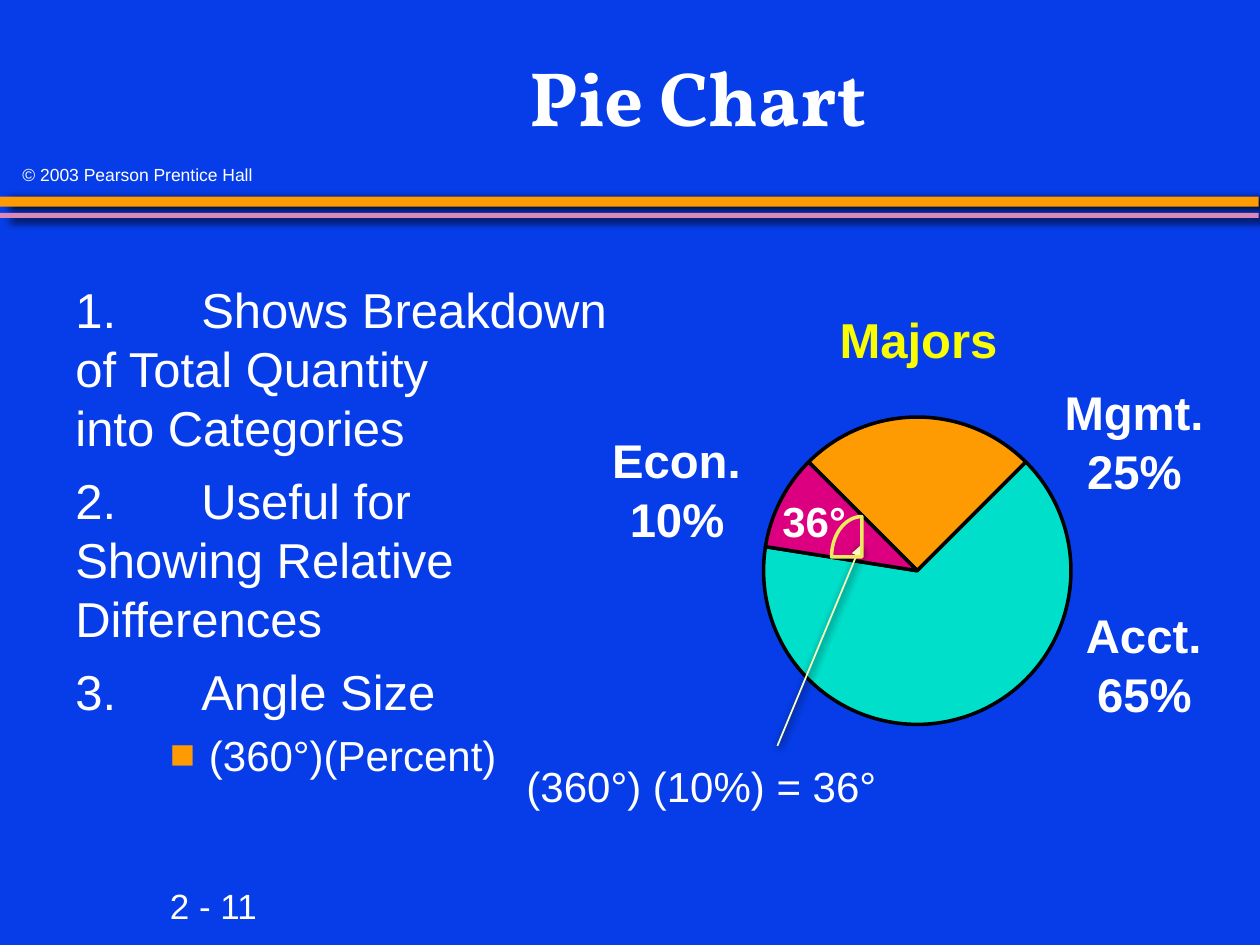
import math
from lxml import etree
from pptx import Presentation
from pptx import util as u
from pptx.chart.data import CategoryChartData
from pptx.dml.color import RGBColor
from pptx.enum import chart as charts, shapes, text
from pptx.oxml import parse_xml
from pptx.oxml.ns import nsdecls, qn

COLORS = {
    "blue": "063DE8", "orange": "FE9B03", "pink": "D989B8", "teal": "00DFCA",
    "magenta": "DC0081", "white": "FFFFFF", "yellow": "FAFD00",
    "pale": "FCFEB9", "angle": "EAEC5E", "black": "000000",
}
BARS = [(1.56, 0.08, "orange", 6.1, 9), (1.69, 0.04, "pink", 6.3, 18)]
MAJORS = [("Mgmt.", 0.25, "orange"), ("Acct.", 0.65, "teal"), ("Econ.", 0.10, "magenta")]
FIRST_ANGLE = 315
PIE_CENTER, PIE_SIZE, PLOT_SHARE = (7.28, 4.53), 2.44, 0.8
LABELS = {
    "Mgmt.": (8.35, 2.99, 1.32, 8.53),
    "Acct.": (8.52, 4.76, 1.13, 8.61),
    "Econ.": (4.76, 3.37, 1.23, 4.90),
}
POINTS = [
    "1.\tShows Breakdown of Total Quantity \vinto Categories",
    "2.\tUseful for Showing Relative Differences",
    "3.\tAngle Size",
]
FORMULA = "(360°)(Percent)"
CENTER = text.PP_ALIGN.CENTER


def color(name):
    return RGBColor.from_string(COLORS[name])


def set_font(paragraph, size, name="white", bold=False, face="Arial"):
    font = paragraph.font
    font.name, font.size, font.bold = face, u.Pt(size), bold
    font.color.rgb = color(name)


def add_text_frame(page, place):
    frame = page.shapes.add_textbox(*map(u.Inches, place)).text_frame
    frame.word_wrap = True
    return frame


def add_text(page, content, place, size, name="white", bold=False, face="Arial", align=None):
    frame = add_text_frame(page, place)
    paragraph = frame.paragraphs[0]
    paragraph.text = content
    paragraph.alignment = align
    set_font(paragraph, size, name, bold, face)
    return frame


def add_shadow(shape, distance, angle):
    properties = shape._element.spPr
    effects = properties.find(qn("a:effectLst"))
    if effects is None:
        effects = etree.SubElement(properties, qn("a:effectLst"))
    effects.append(parse_xml(
        f'<a:outerShdw {nsdecls("a")} blurRad="{u.Pt(5)}" dist="{u.Pt(distance)}" '
        f'dir="{angle * 60000}" algn="ctr" rotWithShape="0">'
        f'<a:srgbClr val="{COLORS["black"]}"/></a:outerShdw>'))


def add_bars(page):
    for top, height, name, distance, angle in BARS:
        bar = page.shapes.add_shape(
            shapes.MSO_SHAPE.RECTANGLE, 0, u.Inches(top), u.Inches(9.99), u.Inches(height))
        bar.fill.solid()
        bar.fill.fore_color.rgb = color(name)
        bar.line.fill.background()
        bar.shadow.inherit = False
        add_shadow(bar, distance, angle)


def add_pie(page):
    data = CategoryChartData(number_format="0%")
    data.categories = [major for major, share, name in MAJORS]
    data.add_series("Majors", [share for major, share, name in MAJORS])
    side = PIE_SIZE / PLOT_SHARE
    left, top = (middle - side / 2 for middle in PIE_CENTER)
    chart = page.shapes.add_chart(
        charts.XL_CHART_TYPE.PIE, *map(u.Inches, (left, top, side, side)), data).chart
    chart.has_legend = chart.has_title = False
    chart.font.name, chart.font.size = "Arial", u.Pt(27)
    chart.font.color.rgb = color("white")
    plot = chart.plots[0]
    plot.vary_by_categories = False
    for index, (major, share, name) in enumerate(MAJORS):
        slice_format = plot.series[0].points[index].format
        slice_format.fill.solid()
        slice_format.fill.fore_color.rgb = color(name)
        slice_format.line.color.rgb = color("black")
        slice_format.line.width = u.Pt(2)
    pie = plot._element
    angle = pie.find(qn("c:firstSliceAng"))
    if angle is None:
        angle = etree.SubElement(pie, qn("c:firstSliceAng"))
    angle.set("val", str(FIRST_ANGLE))
    area = pie.getparent()
    for layout in area.findall(qn("c:layout")):
        area.remove(layout)
    margin = round((1 - PLOT_SHARE) / 2, 2)
    sizes = {"x": margin, "y": margin, "w": PLOT_SHARE, "h": PLOT_SHARE}
    entries = "".join(f'<c:{key} val="{value}"/>' for key, value in sizes.items())
    area.insert(0, parse_xml(
        f'<c:layout {nsdecls("c")}><c:manualLayout><c:layoutTarget val="inner"/>'
        f'<c:xMode val="edge"/><c:yMode val="edge"/>{entries}</c:manualLayout></c:layout>'))


def add_labels(page):
    for major, share, name in MAJORS:
        left, top, width, share_left = LABELS[major]
        add_text(page, major, (left, top, width, 0.56), 27, bold=True)
        add_text(page, f"{share:.0%}", (share_left, top + 0.47, 0.96, 0.56), 27, bold=True)


def add_body(page):
    frame = add_text_frame(page, (0.5, 2.17, 4.42, 4.5))
    for index, point in enumerate(POINTS):
        paragraph = frame.add_paragraph() if index else frame.paragraphs[0]
        paragraph.text = point
        if index:
            paragraph.space_before = u.Pt(8.4)
        properties = paragraph._p.get_or_add_pPr()
        tabs = etree.SubElement(properties, qn("a:tabLst"))
        etree.SubElement(tabs, qn("a:tab"), pos=str(u.Inches(1)), algn="l")
        set_font(paragraph, 28)
    paragraph = frame.add_paragraph()
    paragraph.text = FORMULA
    paragraph.level = 1
    paragraph.space_before = u.Pt(4.8)
    properties = paragraph._p.get_or_add_pPr()
    properties.set("marL", str(u.Inches(1.06)))
    properties.set("indent", str(u.Inches(-0.31)))
    bullet_color = etree.SubElement(properties, qn("a:buClr"))
    etree.SubElement(bullet_color, qn("a:srgbClr"), val=COLORS["orange"])
    etree.SubElement(properties, qn("a:buFont"), typeface="Arial")
    etree.SubElement(properties, qn("a:buChar"), char="■")
    set_font(paragraph, 24)


def add_angle_mark(page):
    pointer = page.shapes.add_connector(
        shapes.MSO_CONNECTOR.STRAIGHT, *map(u.Inches, (6.17, 5.92, 6.83, 4.33)))
    pointer.line.color.rgb = color("pale")
    pointer.line.width = u.Pt(1)
    etree.SubElement(pointer.line._get_or_add_ln(), qn("a:tailEnd"), type="triangle")
    add_shadow(pointer, 1.4, 45)

    corner_x, corner_y, width, height = 6.84, 4.42, 0.24, 0.32
    turns = [math.radians(step * 5) for step in range(19)]
    arc = [(corner_x - width * math.cos(turn), corner_y - height * math.sin(turn))
           for turn in turns]
    builder = page.shapes.build_freeform(
        u.Inches(corner_x), u.Inches(corner_y), scale=1.0)
    builder.add_line_segments([tuple(map(u.Inches, point)) for point in arc], close=True)
    sector = builder.convert_to_shape()
    sector.fill.background()
    sector.line.color.rgb = color("angle")
    sector.line.width = u.Pt(2)
    sector.shadow.inherit = False

    frame = add_text(page, "36°", (6.21, 3.93, 0.56, 0.41), 24, bold=True)
    frame.margin_left = frame.margin_right = frame.margin_top = frame.margin_bottom = 0
    frame.vertical_anchor = text.MSO_ANCHOR.MIDDLE


def main():
    deck = Presentation()
    deck.slide_width, deck.slide_height = u.Inches(10), u.Inches(7.5)
    page = deck.slides.add_slide(deck.slide_layouts[6])
    page.background.fill.solid()
    page.background.fill.fore_color.rgb = color("blue")
    add_bars(page)
    add_text(page, "2 - 11", (1.25, 6.97, 0.92, 0.44), 20)
    add_text(page, "© 2003 Pearson Prentice Hall", (0.08, 1.25, 2.18, 0.26), 10)
    add_pie(page)
    add_labels(page)
    title = add_text(page, "Pie Chart", (1.83, 0.17, 7.42, 1.25), 44,
                     bold=True, face="Vollkorn", align=CENTER)
    title.vertical_anchor = text.MSO_ANCHOR.MIDDLE
    title.paragraphs[0].line_spacing = 0.95
    add_body(page)
    add_text(page, "Majors", (5.91, 2.41, 2.76, 0.58), 28, "yellow", True, align=CENTER)
    add_text(page, "(360°) (10%) = 36°", (4.08, 5.99, 3.09, 0.51), 24)
    add_angle_mark(page)
    deck.save("out.pptx")


if __name__ == "__main__":
    main()
